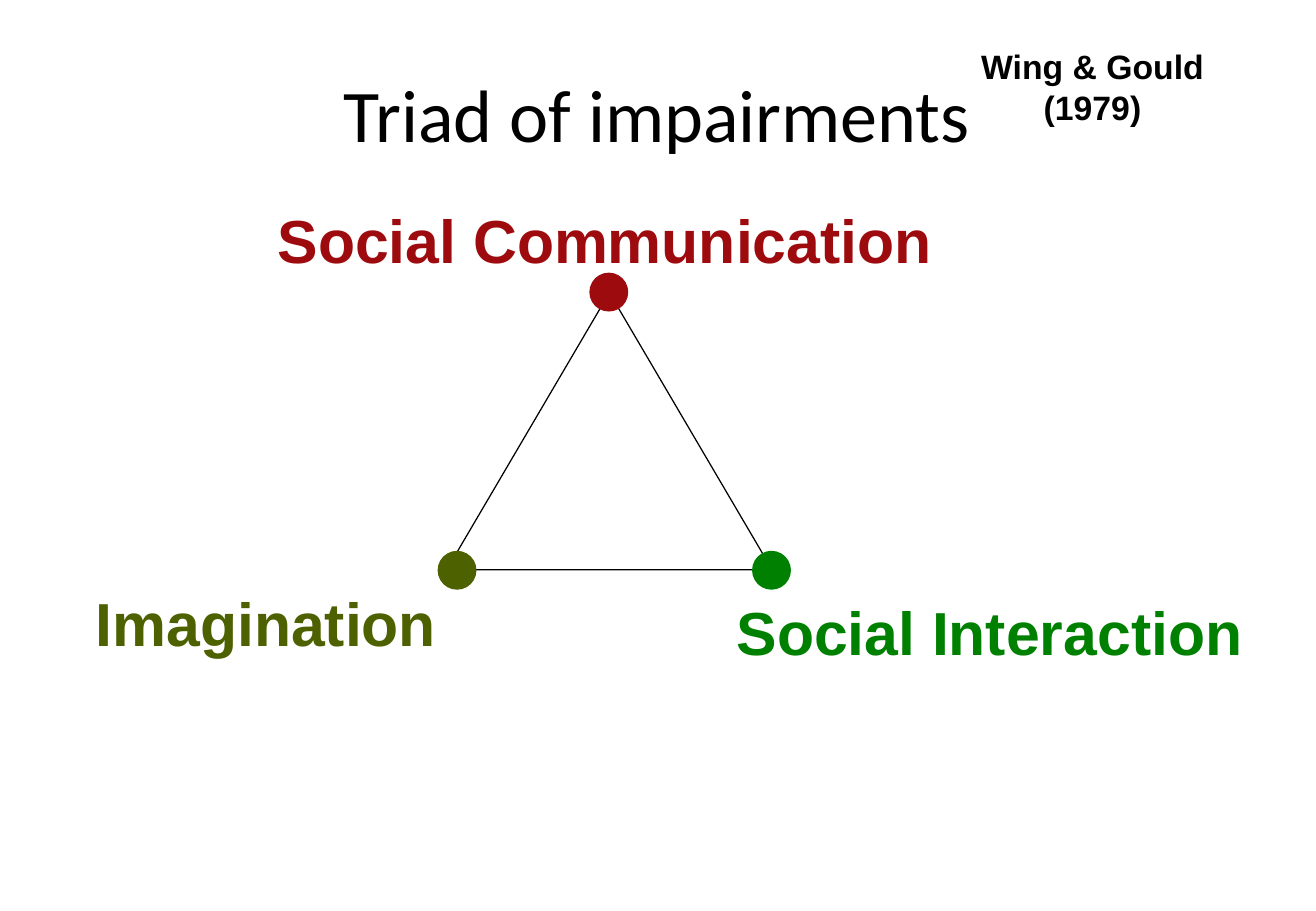
from pptx import Presentation
from pptx.dml.color import RGBColor
from pptx.enum.shapes import MSO_SHAPE
from pptx.enum.text import MSO_ANCHOR, PP_ALIGN
from pptx.util import Inches, Pt

TRIANGLE = MSO_SHAPE.ISOSCELES_TRIANGLE
OVAL = MSO_SHAPE.OVAL
TOP, MIDDLE = MSO_ANCHOR.TOP, MSO_ANCHOR.MIDDLE
LEFT, CENTER = PP_ALIGN.LEFT, PP_ALIGN.CENTER

BLACK = RGBColor(0x00, 0x00, 0x00)
RED = RGBColor(0x9E, 0x0B, 0x0E)
OLIVE = RGBColor(0x4D, 0x61, 0x00)
GREEN = RGBColor(0x00, 0x80, 0x00)

DOT_SIZE = 0.31

prs = Presentation()
prs.slide_width = Inches(10.84)
prs.slide_height = Inches(7.5)
slide = prs.slides.add_slide(prs.slide_layouts[6])


def add_label(text, box, size, color, font="Arial", bold=True, align=LEFT, anchor=TOP):
    label = slide.shapes.add_textbox(*[Inches(v) for v in box])
    frame = label.text_frame
    frame.word_wrap = True
    frame.vertical_anchor = anchor
    frame.text = text
    paragraph = frame.paragraphs[0]
    paragraph.alignment = align
    run_font = paragraph.runs[0].font
    run_font.name = font
    run_font.size = Pt(size)
    run_font.bold = bold
    run_font.color.rgb = color


def add_figure(preset, box, line_color):
    figure = slide.shapes.add_shape(preset, *[Inches(v) for v in box])
    figure.shadow.inherit = False
    figure.fill.background()
    figure.line.color.rgb = line_color
    figure.line.width = Pt(0.75)
    return figure


add_label("Triad of impairments", (0.54, 0.3, 9.75, 1.25), 44, BLACK,
          font="Calibri", bold=False, align=CENTER, anchor=MIDDLE)

add_figure(TRIANGLE, (3.68, 2.41, 2.68, 2.28), BLACK)

impairments = [
    ("Social Interaction", (5.97, 4.85, 4.65, 0.7), (6.2, 4.54), GREEN),
    ("Imagination", (0.69, 4.77, 3.31, 0.7), (3.61, 4.54), OLIVE),
    ("Social Communication", (2.19, 1.62, 6.14, 0.7), (4.86, 2.25), RED),
]
for impairment, label_box, dot_corner, color in impairments:
    add_label(impairment, label_box, 36, color)
    dot = add_figure(OVAL, (*dot_corner, DOT_SIZE, DOT_SIZE), color)
    dot.fill.solid()
    dot.fill.fore_color.rgb = color

add_label("Wing & Gould (1979)", (7.75, 0.33, 2.5, 0.77), 20, BLACK, align=CENTER)

prs.save("out.pptx")
